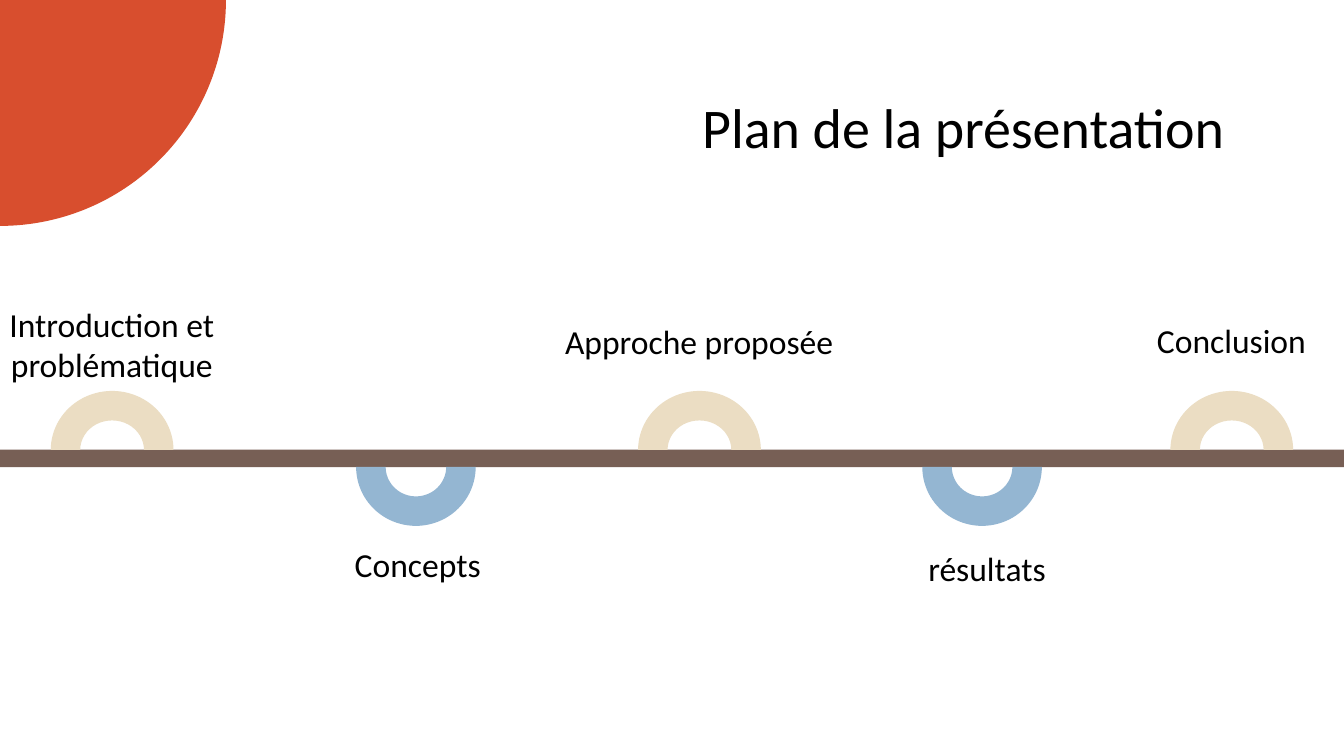
from pptx import Presentation
from pptx.dml.color import RGBColor
from pptx.enum.shapes import MSO_SHAPE
from pptx.enum.text import MSO_ANCHOR, MSO_AUTO_SIZE, PP_ALIGN
from pptx.util import Cm, Pt

RECT, ARC, WEDGE = MSO_SHAPE.RECTANGLE, MSO_SHAPE.BLOCK_ARC, MSO_SHAPE.PIE_WEDGE
TOP, FIXED = MSO_ANCHOR.TOP, MSO_AUTO_SIZE.NONE
RIGHT, CENTER = PP_ALIGN.RIGHT, PP_ALIGN.CENTER
SAND, BLUE = "EBDDC3", "94B6D2"


def draw(kind, x, y, w, h, color, turn=0):
    shape = slide.shapes.add_shape(kind, Cm(x), Cm(y), Cm(w), Cm(h))
    shape.shadow.inherit = False
    shape.fill.solid()
    shape.fill.fore_color.rgb = RGBColor.from_string(color)
    shape.line.fill.background()
    shape.rotation = turn


def write(box, text, size=18, align=CENTER, after=16):
    frame = box.text_frame
    frame.word_wrap = True
    frame.auto_size = FIXED
    frame.vertical_anchor = TOP
    frame.margin_left = frame.margin_right = Cm(0.25)
    frame.margin_top = frame.margin_bottom = Cm(0.25)
    para = frame.paragraphs[0]
    para.alignment = align
    para.line_spacing = 1.0
    para.space_before, para.space_after = Pt(0), Pt(after)
    run = para.add_run()
    run.text = text
    run.font.name = "Calibri"
    run.font.size = Pt(size)
    run.font.color.rgb = RGBColor.from_string("000000")


deck = Presentation()
deck.slide_width, deck.slide_height = Cm(25.4), Cm(14.29)
slide = deck.slides.add_slide(deck.slide_layouts[5])

# Corner quarter disc
draw(WEDGE, 0, 0, 4.27, 4.27, "D84E2E", turn=180)

# Title
title = slide.shapes.title
title.left, title.top, title.width, title.height = Cm(10.16), Cm(1.5), Cm(13.23), Cm(1.6)
write(title, "Plan de la présentation", size=30, align=RIGHT, after=0)

# Timeline bar
draw(RECT, 0, 8.5, 25.4, 0.33, "775F55")

# Steps: arc centre, above the bar or not, label, label left, top, width, height
steps = [
    (2.12, True, "Introduction et problématique", -1.3, 5.49, 6.83, 1.1),
    (7.86, False, "Concepts", 3.35, 10.03, 9.09, 1.1),
    (13.22, True, "Approche proposée", 8.81, 5.82, 8.81, 1.1),
    (18.56, False, "résultats", 14.25, 10.11, 8.81, 2.24),
    (23.28, True, "Conclusion", 18.87, 5.79, 8.81, 1.1),
]
for mid, above, label, x, y, w, h in steps:
    if above:
        draw(ARC, mid - 1.16, 7.39, 2.32, 2.23, SAND)
    else:
        draw(ARC, mid - 1.13, 7.71, 2.26, 2.23, BLUE, turn=180)
    write(slide.shapes.add_textbox(Cm(x), Cm(y), Cm(w), Cm(h)), label)

deck.save("out.pptx")
